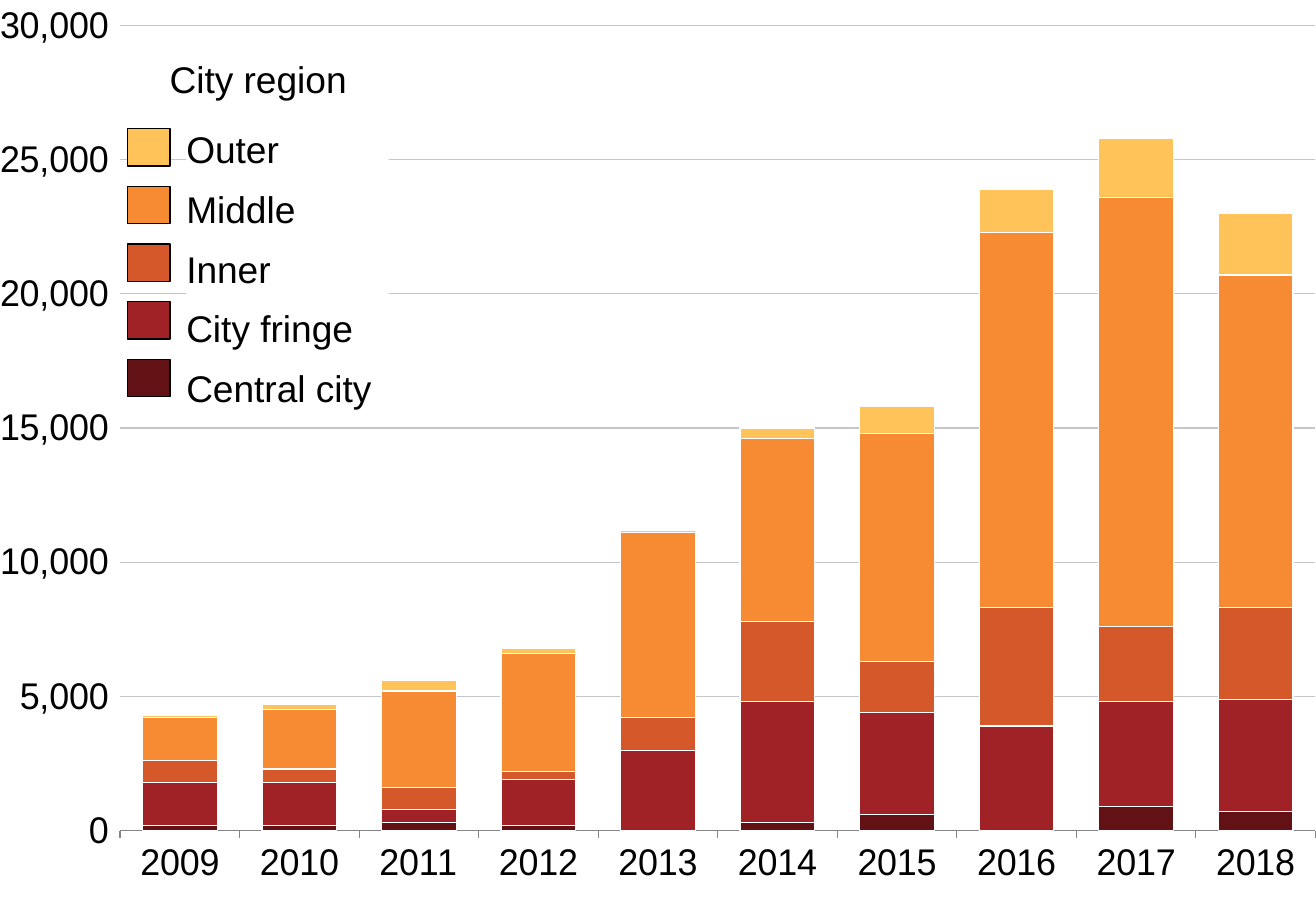
"""Draw a stacked column chart by city region with a hand-built legend."""
from typing import NamedTuple

from lxml.etree import SubElement
from pptx import Presentation
from pptx.chart.data import CategoryChartData as Data
from pptx.dml.color import RGBColor
from pptx.enum.chart import XL_CHART_TYPE as Kind, XL_TICK_MARK as Tick
from pptx.enum.shapes import MSO_SHAPE as Form
from pptx.enum.text import MSO_ANCHOR as Anchor, PP_ALIGN as Align
from pptx.oxml import parse_xml
from pptx.util import Pt

PX = 7620
WIDE, HIGH = 1300, 900
FONT = "Arial"
BLACK = RGBColor(0x00, 0x00, 0x00)
WHITE = RGBColor(0xFF, 0xFF, 0xFF)
GRID = RGBColor(0xC3, 0xC7, 0xCB)
AXIS = RGBColor(0x86, 0x86, 0x86)
WINE = RGBColor(0x62, 0x12, 0x14)
RED = RGBColor(0xA0, 0x22, 0x26)
RUST = RGBColor(0xD4, 0x58, 0x2A)
ORANGE = RGBColor(0xF6, 0x8B, 0x33)
YELLOW = RGBColor(0xFF, 0xC3, 0x5A)
NS = "http://schemas.openxmlformats.org/drawingml/2006/chart"


class Box(NamedTuple):
    """Hold a place in px."""
    left: int
    top: int
    wide: int
    high: int

    def emu(self) -> list[int]:
        """Return the four lengths in EMU."""
        return [n * PX for n in self]


class Zone(NamedTuple):
    """Hold one region of the city."""
    name: str
    color: RGBColor
    vals: tuple[int, ...]


YEARS = [str(year) for year in range(2009, 2019)]
ZONES = [
    Zone("Central city", WINE, (200, 200, 300, 200, 0, 300, 600, 0, 900, 700)),
    Zone("City fringe", RED,
         (1600, 1600, 500, 1700, 3000, 4500, 3800, 3900, 3900, 4200)),
    Zone("Inner", RUST,
         (800, 500, 800, 300, 1200, 3000, 1900, 4400, 2800, 3400)),
    Zone("Middle", ORANGE,
         (1600, 2200, 3600, 4400, 6900, 6800, 8500, 14000, 16000, 12400)),
    Zone("Outer", YELLOW,
         (100, 200, 400, 200, 100, 400, 1000, 1600, 2200, 2300)),
]
LABELS = Box(184, 125, 200, 276)
HEAD = Box(124, 56, 262, 44)
KEY = Box(126, 127, 42, 37)
STEP = 57
PLOT = {"x": 0.06, "y": 0.028, "w": 0.94, "h": 0.884}


def apply(item, **form) -> None:
    """Set each format value on the item."""
    for name, val in form.items():
        setattr(item, name, val)


def rule(line, color: RGBColor) -> None:
    """Give a line its colour and width."""
    line.color.rgb = color
    line.width = Pt(0.75)


def style(font, size: int) -> None:
    """Give text its font, size and colour."""
    apply(font, name=FONT, size=Pt(size))
    font.color.rgb = BLACK


def place(plot) -> None:
    """Fix the inner plot area within the chart."""
    area = plot.getparent()
    for old in area.findall(f"{{{NS}}}layout"):
        area.remove(old)
    frame = parse_xml(f'<c:layout xmlns:c="{NS}"><c:manualLayout/></c:layout>')
    area.insert(0, frame)
    tags = {"layoutTarget": "inner", "xMode": "edge", "yMode": "edge", **PLOT}
    for tag, val in tags.items():
        SubElement(frame[0], f"{{{NS}}}{tag}").set("val", str(val))


def graph(slide) -> None:
    """Add the stacked column chart."""
    data = Data(number_format="#,##0")
    data.categories = YEARS
    for zone in ZONES:
        data.add_series(zone.name, zone.vals)
    full = Box(0, 0, WIDE, HIGH).emu()
    chart = slide.shapes.add_chart(Kind.COLUMN_STACKED, *full, data).chart
    apply(chart, has_legend=False, has_title=False)
    style(chart.font, 18)
    plot = chart.plots[0]
    apply(plot, gap_width=60, overlap=100, vary_by_categories=False)
    for part, zone in zip(plot.series, ZONES):
        part.format.fill.solid()
        part.format.fill.fore_color.rgb = zone.color
        rule(part.format.line, WHITE)
    years, count = chart.category_axis, chart.value_axis
    for axis in (years, count):
        apply(axis, major_tick_mark=Tick.OUTSIDE, minor_tick_mark=Tick.NONE)
        style(axis.tick_labels.font, 22)
    rule(years.format.line, AXIS)
    apply(count, minimum_scale=0, maximum_scale=30000, major_unit=5000,
          has_major_gridlines=True)
    apply(count.tick_labels, number_format="#,##0",
          number_format_is_linked=False)
    count.format.line.fill.background()
    rule(count.major_gridlines.format.line, GRID)
    place(plot._element)


def block(group, box: Box, fill: RGBColor):
    """Add a plain filled rectangle to the group."""
    shape = group.shapes.add_shape(Form.RECTANGLE, *box.emu())
    shape.shadow.inherit = False
    shape.fill.solid()
    shape.fill.fore_color.rgb = fill
    shape.line.fill.background()
    return shape


def write(group, box: Box, lines: list[str], align: Align) -> None:
    """Add a white block that holds lines of text."""
    frame = block(group, box, WHITE).text_frame
    apply(frame, margin_left=0, margin_top=0, margin_right=0, margin_bottom=0,
          word_wrap=True, vertical_anchor=Anchor.TOP)
    for i, line in enumerate(lines):
        para = frame.add_paragraph() if i else frame.paragraphs[0]
        apply(para, text=line, alignment=align, space_before=Pt(9 if i else 0))
        style(para.font, 22)


def legend(slide) -> None:
    """Add the legend, from the top region down."""
    group = slide.shapes.add_group_shape()
    order = ZONES[::-1]
    write(group, LABELS, [zone.name for zone in order], Align.LEFT)
    for i, zone in enumerate(order):
        key = block(group, KEY._replace(top=KEY.top + i * STEP), zone.color)
        rule(key.line, BLACK)
    write(group, HEAD, ["City region"], Align.CENTER)


def main() -> None:
    """Build and save the slide."""
    deck = Presentation()
    apply(deck, slide_width=WIDE * PX, slide_height=HIGH * PX)
    slide = deck.slides.add_slide(deck.slide_layouts[6])
    graph(slide)
    legend(slide)
    deck.save("out.pptx")


if __name__ == "__main__":
    main()
